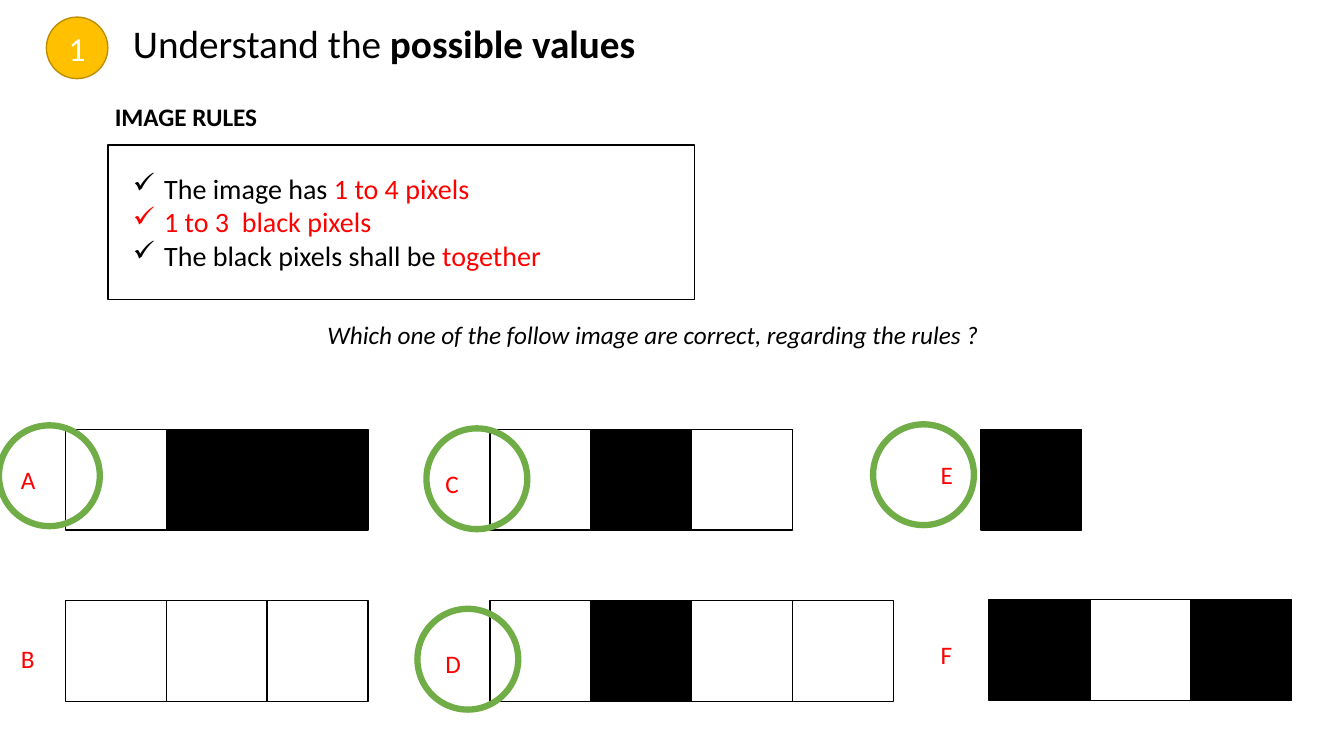
from dataclasses import dataclass
from typing import Optional

import lxml.etree
import pptx
import pptx.dml.color
import pptx.enum.shapes
import pptx.enum.text
import pptx.oxml.ns
import pptx.util

Inches = pptx.util.Inches
Pt = pptx.util.Pt
MSO_SHAPE = pptx.enum.shapes.MSO_SHAPE


@dataclass(frozen=True)
class Theme:
    font: str = "Calibri"
    black: str = "000000"
    white: str = "FFFFFF"
    red: str = "FF0000"
    green: str = "70AD47"
    amber: str = "FFC000"
    dark_amber: str = "BD8E00"
    title_size: float = 28
    badge_size: float = 24
    rule_size: float = 20
    body_size: float = 18
    thin_line: float = 1
    ring_line: float = 4.5


@dataclass(frozen=True)
class Box:
    left: float
    top: float
    width: float
    height: float


@dataclass(frozen=True)
class Span:
    text: str
    color: str
    bold: bool = False


@dataclass(frozen=True)
class PixelImage:
    letter: str
    label: tuple[float, float]
    pixels: str  # W is a white pixel, B a black one
    origin: tuple[float, float]
    ring: Optional[tuple[float, float]] = None


THEME = Theme()
PIXEL = 1.0

IMAGES = [
    PixelImage("A", (0.11, 4.56), "WBB", (0.65, 4.26), ring=(-0.01, 4.22)),
    PixelImage("B", (0.11, 6.33), "WWW", (0.65, 5.96)),
    PixelImage("C", (4.32, 4.6), "WBW", (4.86, 4.26), ring=(4.23, 4.25)),
    PixelImage("D", (4.32, 6.38), "WBWW", (4.86, 5.96), ring=(4.14, 6.04)),
    PixelImage("E", (9.23, 4.51), "B", (9.73, 4.26), ring=(8.66, 4.21)),
    PixelImage("F", (9.23, 6.29), "BWB", (9.81, 5.95)),
]

RULES = [
    [Span("The image has ", THEME.black), Span("1 to 4 pixels", THEME.red)],
    [Span("1 to 3  black pixels", THEME.red)],
    [Span("The black pixels shall be ", THEME.black), Span("together", THEME.red)],
]


def rgb(color: str) -> pptx.dml.color.RGBColor:
    return pptx.dml.color.RGBColor.from_string(color)


def add_outline(page, kind, box: Box, line: str, weight: float, fill: Optional[str] = None):
    shape = page.shapes.add_shape(
        kind, Inches(box.left), Inches(box.top), Inches(box.width), Inches(box.height)
    )
    shape.shadow.inherit = False
    if fill:
        shape.fill.solid()
        shape.fill.fore_color.rgb = rgb(fill)
    else:
        shape.fill.background()
    shape.line.color.rgb = rgb(line)
    shape.line.width = Pt(weight)
    return shape


def write_spans(para, spans: list[Span], size: float) -> None:
    para.font.name = THEME.font
    para.font.size = Pt(size)
    for item in spans:
        span = para.add_run()
        span.text = item.text
        span.font.color.rgb = rgb(item.color)
        if item.bold:
            span.font.bold = True


def add_text(page, box: Box, lines: list[list[Span]], size: float, wrap: bool = True):
    frame = page.shapes.add_textbox(
        Inches(box.left), Inches(box.top), Inches(box.width), Inches(box.height)
    ).text_frame
    frame.word_wrap = wrap
    frame.auto_size = pptx.enum.text.MSO_AUTO_SIZE.SHAPE_TO_FIT_TEXT
    for index, spans in enumerate(lines):
        para = frame.add_paragraph() if index else frame.paragraphs[0]
        write_spans(para, spans, size)
    return frame


def add_check_bullet(para) -> None:
    properties = para._p.get_or_add_pPr()
    properties.set("marL", str(Inches(0.31)))
    properties.set("indent", str(Inches(-0.31)))
    bullet = lxml.etree.Element(pptx.oxml.ns.qn("a:buChar"), char="✓")
    properties.insert(0, bullet)  # bullets come before the default run properties


def draw_image(page, image: PixelImage) -> None:
    left, top = image.origin
    for column, pixel in enumerate(image.pixels):
        fill = THEME.black if pixel == "B" else THEME.white
        box = Box(left + column * PIXEL, top, PIXEL, PIXEL)
        add_outline(page, MSO_SHAPE.RECTANGLE, box, THEME.black, THEME.thin_line, fill)
    letter = [[Span(image.letter, THEME.red)]]
    add_text(page, Box(*image.label, 0.35, 0.4), letter, THEME.body_size)
    if image.ring:
        box = Box(*image.ring, PIXEL, PIXEL)
        add_outline(page, MSO_SHAPE.OVAL, box, THEME.green, THEME.ring_line)


def draw_header(page) -> None:
    badge = add_outline(
        page, MSO_SHAPE.OVAL, Box(0.46, 0.17, 0.61, 0.61),
        THEME.dark_amber, THEME.thin_line, THEME.amber,
    )
    badge.text_frame.vertical_anchor = pptx.enum.text.MSO_ANCHOR.MIDDLE
    para = badge.text_frame.paragraphs[0]
    para.alignment = pptx.enum.text.PP_ALIGN.CENTER
    write_spans(para, [Span("1", THEME.white)], THEME.badge_size)
    title = [
        Span("Understand the ", THEME.black),
        Span("possible values", THEME.black, bold=True),
    ]
    add_text(page, Box(1.22, 0.14, 5.45, 0.57), [title], THEME.title_size)


def draw_rules(page) -> None:
    heading = [[Span("IMAGE RULES", THEME.black, bold=True)]]
    add_text(page, Box(1.04, 0.96, 1.63, 0.4), heading, THEME.body_size, wrap=False)
    frame = add_text(page, Box(1.22, 1.65, 4.35, 1.11), RULES, THEME.rule_size, wrap=False)
    for para in frame.paragraphs:
        add_check_bullet(para)
    add_outline(
        page, MSO_SHAPE.RECTANGLE, Box(1.07, 1.44, 5.82, 1.53), THEME.black, THEME.thin_line
    )


def draw_question(page) -> None:
    question = "Which one of the follow image are correct, regarding the rules ?"
    frame = add_text(
        page, Box(3.15, 3.12, 7.26, 0.4), [[Span(question, THEME.black)]], THEME.body_size
    )
    frame.paragraphs[0].font.italic = True


def main() -> None:
    deck = pptx.Presentation()
    deck.slide_width = Inches(13.33)
    deck.slide_height = Inches(7.5)
    page = deck.slides.add_slide(deck.slide_layouts[6])

    # Numbered title, rules and question
    draw_header(page)
    draw_rules(page)
    draw_question(page)

    # Candidate images, with rings around the correct answers
    for image in IMAGES:
        draw_image(page, image)

    deck.save("out.pptx")


if __name__ == "__main__":
    main()
